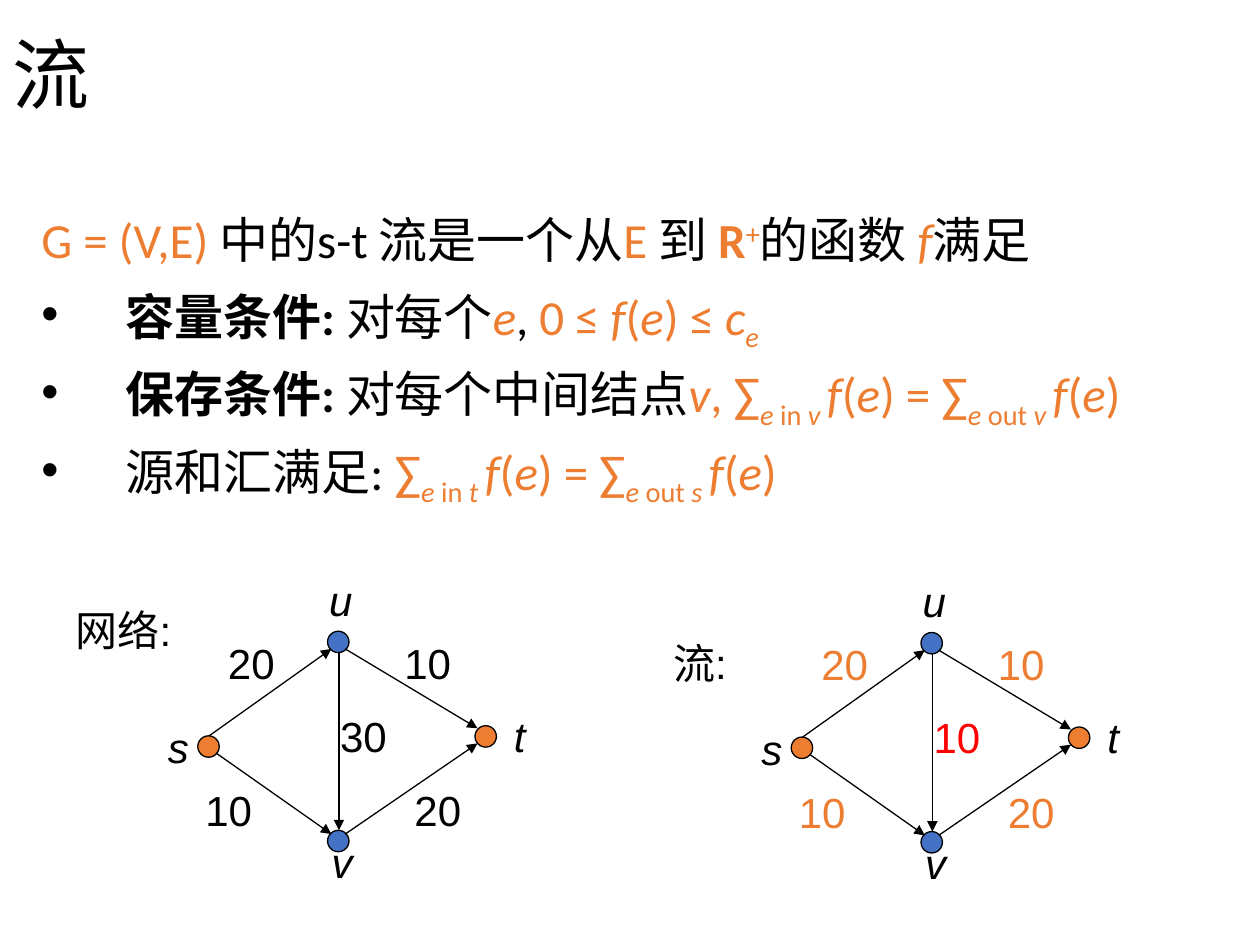
from typing import NamedTuple

from lxml import etree
from pptx import Presentation
from pptx.dml.color import RGBColor
from pptx.enum.shapes import MSO_CONNECTOR as Connector, MSO_SHAPE as Shape
from pptx.enum.text import MSO_ANCHOR as Anchor, MSO_AUTO_SIZE as AutoSize, PP_ALIGN as Align
from pptx.oxml.ns import qn
from pptx.util import Inches, Pt

COLORS = {"black": "000000", "orange": "ED7D31", "blue": "4472C4", "red": "FF0000"}
NODE_SIZE = 0.17


class Run(NamedTuple):
    text: str
    color: str = "orange"
    bold: bool = False
    italic: bool = False
    baseline: int = 0


class Node(NamedTuple):
    left: float
    top: float
    color: str


class Edge(NamedTuple):
    start: tuple[float, float]
    end: tuple[float, float]


class Label(NamedTuple):
    text: str
    left: float
    top: float
    width: float


class Network(NamedTuple):
    left: float
    top: float
    capacities: list[str]
    color: str
    middle_color: str


NODES = [
    Node(1.57, 5.84, "orange"),
    Node(2.6, 5.01, "blue"),
    Node(3.77, 5.76, "orange"),
    Node(2.6, 6.59, "blue"),
]
EDGES = [
    Edge((2.74, 5.15), (3.79, 5.78)),
    Edge((1.66, 5.84), (2.63, 5.15)),
    Edge((1.72, 5.98), (2.63, 6.62)),
    Edge((2.74, 6.62), (3.79, 5.9)),
    Edge((2.69, 5.18), (2.69, 6.59)),
]
NODE_LABELS = [
    Label("t", 3.98, 5.59, 0.29),
    Label("s", 1.23, 5.68, 0.37),
    Label("u", 2.51, 4.51, 0.39),
    Label("v", 2.53, 6.59, 0.37),
]
EDGE_LABEL_PLACES = [(1.71, 5.01), (1.53, 6.18), (3.19, 6.18), (3.11, 5.01), (2.6, 5.59)]
NETWORKS = [
    Network(0, 0, ["20", "10", "20", "10", "30"], "black", "black"),
    Network(4.71, 0.01, ["20", "10", "20", "10", "10"], "orange", "red"),
]
CAPTIONS = [Label("流:", 5.24, 5.01, 0.63), Label("网络:", 0.5, 4.75, 0.96)]


def rgb(name: str) -> RGBColor:
    return RGBColor.from_string(COLORS[name])


def flow_of_edge() -> list[Run]:
    return [Run("f", italic=True), Run("("), Run("e", italic=True)]


def edge_sum(direction: str, node: str) -> list[Run]:
    return [
        Run("∑"),
        Run("e", italic=True, baseline=-25),
        Run(f" {direction} ", baseline=-25),
        Run(f"{node} ", italic=True, baseline=-25),
        *flow_of_edge(),
    ]


def balance(inner: str, outer: str) -> list[Run]:
    return [*edge_sum("in", inner), Run(") = "), *edge_sum("out", outer), Run(")")]


DEFINITION = [
    Run("G = (V,E) "),
    Run("中的s-t 流是一个从", "black"),
    Run("E "),
    Run("到 ", "black"),
    Run("R", bold=True),
    Run("+", baseline=30),
    Run("的函数 ", "black"),
    Run("f", italic=True),
    Run("满足", "black"),
]
CONDITIONS = [
    [Run("容量条件: ", "black", bold=True), Run("对每个", "black"), Run("e", italic=True),
     Run(", ", "black"), Run("0 ≤ "), *flow_of_edge(), Run(") ≤ "),
     Run("c", italic=True), Run("e", italic=True, baseline=-25)],
    [Run("保存条件: ", "black", bold=True), Run("对每个中间结点", "black"),
     Run("v", italic=True), Run(", "), *balance("v", "v")],
    [Run("源和汇满足: ", "black"), *balance("t", "s")],
]


def add_runs(paragraph, runs: list[Run]) -> None:
    for item in runs:
        run = paragraph.add_run()
        run.text = item.text
        run.font.color.rgb = rgb(item.color)
        run.font.bold = item.bold
        run.font.italic = item.italic
        if item.baseline:
            run._r.get_or_add_rPr().set("baseline", str(item.baseline * 1000))


def add_title(slide) -> None:
    box = slide.shapes.add_textbox(Inches(0), Inches(0), Inches(9.17), Inches(1.25))
    frame = box.text_frame
    frame.word_wrap = True
    frame.vertical_anchor = Anchor.MIDDLE
    paragraph = frame.paragraphs[0]
    paragraph.text = "流"
    paragraph.line_spacing = 0.9
    paragraph.font.name = "Calibri"
    paragraph.font.size = Pt(44)
    paragraph.font.color.rgb = rgb("black")


def add_body(slide) -> None:
    box = slide.shapes.add_textbox(Inches(0.23), Inches(1.67), Inches(9.77), Inches(3.92))
    frame = box.text_frame
    frame.word_wrap = True
    for index, runs in enumerate([DEFINITION, *CONDITIONS]):
        paragraph = frame.add_paragraph() if index else frame.paragraphs[0]
        paragraph.line_spacing = 0.9
        properties = paragraph._p.get_or_add_pPr()
        properties.set("marL", str(Inches(0.67)))
        properties.set("indent", str(-Inches(0.67)))
        if index:
            paragraph.space_before = Pt(10)
            etree.SubElement(properties, qn("a:buFont")).set("typeface", "Arial")
            etree.SubElement(properties, qn("a:buChar")).set("char", "•")
        add_runs(paragraph, runs)
        paragraph.font.name = "Calibri"
        paragraph.font.size = Pt(28)


def add_label(slide, label: Label, color: str = "black", italic: bool = False,
              wrap: bool = False) -> None:
    box = slide.shapes.add_textbox(
        Inches(label.left), Inches(label.top), Inches(label.width), Inches(0.5))
    frame = box.text_frame
    frame.word_wrap = wrap
    frame.auto_size = AutoSize.NONE if wrap else AutoSize.SHAPE_TO_FIT_TEXT
    frame.vertical_anchor = Anchor.MIDDLE
    paragraph = frame.paragraphs[0]
    paragraph.text = label.text
    paragraph.alignment = Align.CENTER
    paragraph.font.name = "Arial"
    paragraph.font.size = Pt(24)
    paragraph.font.italic = italic
    paragraph.font.color.rgb = rgb(color)


def add_node(slide, left: float, top: float, color: str) -> None:
    shape = slide.shapes.add_shape(
        Shape.OVAL, Inches(left), Inches(top), Inches(NODE_SIZE), Inches(NODE_SIZE))
    shape.shadow.inherit = False
    shape.fill.solid()
    shape.fill.fore_color.rgb = rgb(color)
    shape.line.color.rgb = rgb("black")
    shape.line.width = Pt(0.75)


def add_arrow(slide, edge: Edge, left: float, top: float) -> None:
    (x1, y1), (x2, y2) = edge
    arrow = slide.shapes.add_connector(
        Connector.STRAIGHT, Inches(x1 + left), Inches(y1 + top), Inches(x2 + left), Inches(y2 + top))
    arrow.line.color.rgb = rgb("black")
    arrow.line.width = Pt(0.75)
    etree.SubElement(arrow.line._get_or_add_ln(), qn("a:tailEnd")).set("type", "triangle")
    etree.SubElement(arrow._element.spPr, qn("a:effectLst"))


def add_network(slide, network: Network) -> None:
    left, top = network.left, network.top
    for node in NODES:
        add_node(slide, node.left + left, node.top + top, node.color)
    for edge in EDGES:
        add_arrow(slide, edge, left, top)
    for label in NODE_LABELS:
        moved = label._replace(left=label.left + left, top=label.top + top)
        add_label(slide, moved, italic=True)
    colors = [network.color] * 4 + [network.middle_color]
    for text, (x, y), color in zip(network.capacities, EDGE_LABEL_PLACES, colors):
        add_label(slide, Label(text, x + left, y + top, 0.57), color)


def main() -> None:
    presentation = Presentation()
    presentation.slide_width, presentation.slide_height = Inches(10), Inches(7.5)
    slide = presentation.slides.add_slide(presentation.slide_layouts[6])
    add_title(slide)
    add_body(slide)
    for network in NETWORKS:
        add_network(slide, network)
    for caption in CAPTIONS:
        add_label(slide, caption, wrap=True)
    presentation.save("out.pptx")


if __name__ == "__main__":
    main()
